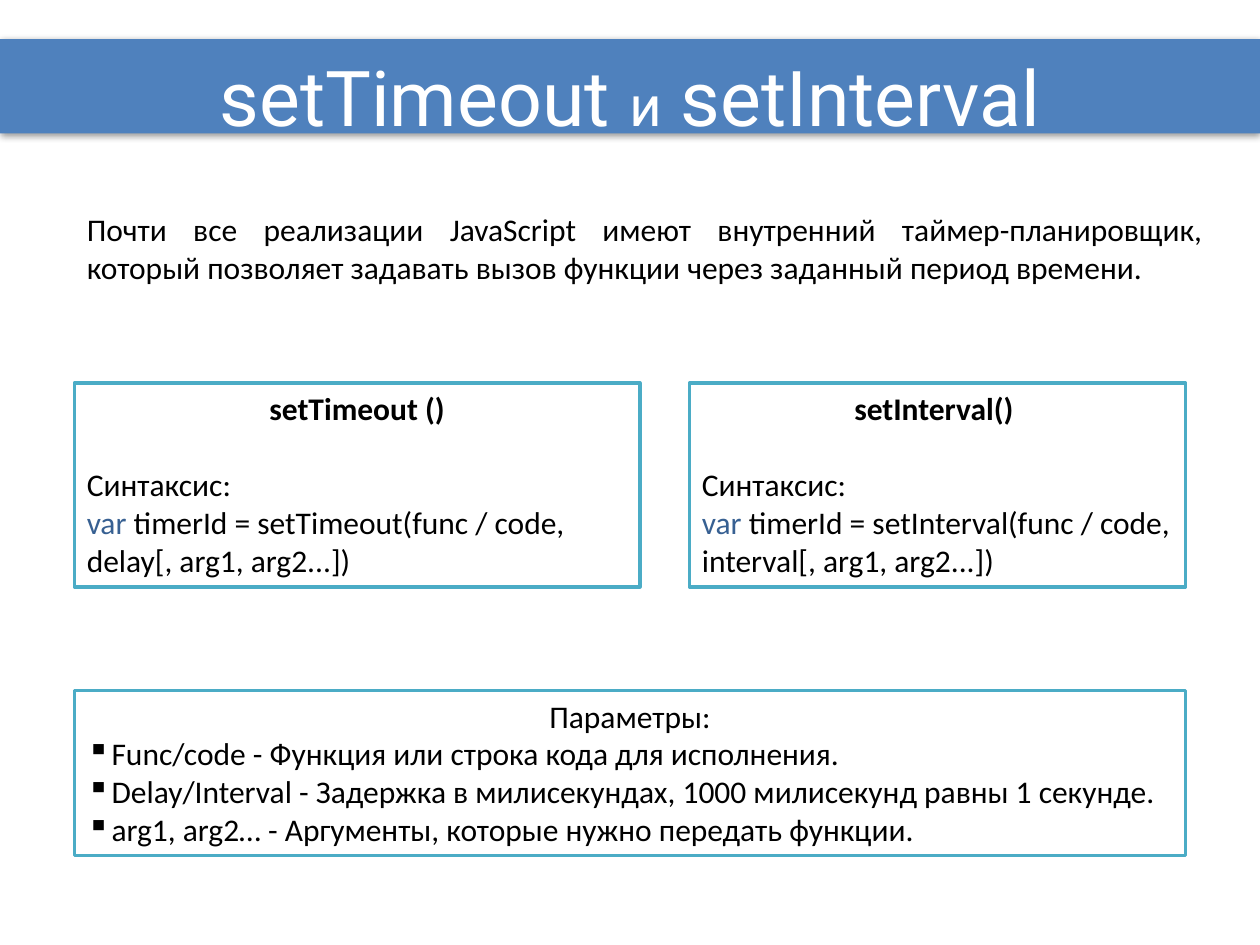
from lxml.etree import SubElement as Sub
from pptx import Presentation
from pptx.dml.color import RGBColor
from pptx.enum.shapes import MSO_SHAPE as Form
from pptx.enum.text import MSO_ANCHOR as Anchor, MSO_AUTO_SIZE as Auto, PP_ALIGN as Align
from pptx.oxml.ns import qn
from pptx.util import Cm, Pt


def tint(code):
    return RGBColor.from_string(code)


class Deck:
    """Holds the style and the current slide, and draws each kind of element."""

    font = {"name": "Calibri", "size": Pt(18), "bold": False}
    head = {"name": "Roboto", "size": Pt(44)}
    ink, white, blue, teal, key = "000000", "FFFFFF", "4F81BD", "4BACC6", "376092"

    def __init__(self):
        self.prs = Presentation()
        self.prs.slide_width, self.prs.slide_height = Cm(25.4), Cm(19.05)
        self.slide = self.prs.slides.add_slide(self.prs.slide_layouts[5])
        self.shapes = self.slide.shapes

    def set(self, item, **vals):
        for name, val in vals.items():
            setattr(item, name, val)

    def run(self, par, text, color, **vals):
        run = par.add_run()
        run.text = text
        self.set(run.font, **vals)
        run.font.color.rgb = tint(color)

    def rect(self, left, top, width, height, fill):
        box = self.shapes.add_shape(
            Form.RECTANGLE, Cm(left), Cm(top), Cm(width), Cm(height))
        box.shadow.inherit = False
        box.fill.solid()
        box.fill.fore_color.rgb = tint(fill)
        box.line.fill.background()
        return box

    def band(self, top, height):
        bar = self.rect(0, top, 25.4, height, self.blue)
        glow = Sub(bar.element.spPr.find(qn("a:effectLst")), qn("a:outerShdw"),
                   blurRad=str(Pt(4)), dist=str(Pt(1)), dir="5400000", rotWithShape="0")
        shade = Sub(glow, qn("a:srgbClr"), val=self.ink)
        Sub(shade, qn("a:alpha"), val="40000")
        self.shapes.title.element.addprevious(bar.element)

    def title(self, parts):
        title = self.shapes.title
        self.set(title, left=Cm(1.27), top=Cm(0.53), width=Cm(22.86), height=Cm(2.79))
        self.set(title.text_frame, vertical_anchor=Anchor.MIDDLE, auto_size=Auto.NONE)
        par = title.text_frame.paragraphs[0]
        par.alignment = Align.CENTER
        for text, size in parts:
            self.run(par, text, self.white, **{**self.head, "size": Pt(size)})

    def fill(self, shape, rows):
        frame = shape.text_frame
        self.set(frame, word_wrap=True, vertical_anchor=Anchor.TOP)
        for num, (parts, look) in enumerate(rows):
            par = frame.add_paragraph() if num else frame.paragraphs[0]
            self.set(par, **{"alignment": Align.LEFT, **look})
            for text, color, bold in parts:
                self.run(par, text, color, **{**self.font, "bold": bold})

    def text(self, left, top, width, height, words):
        box = self.shapes.add_textbox(Cm(left), Cm(top), Cm(width), Cm(height))
        self.fill(box, [([(words, self.ink, False)], {"alignment": Align.JUSTIFY})])

    def panel(self, left, top, width, height, rows):
        box = self.rect(left, top, width, height, self.white)
        box.line.color.rgb = tint(self.teal)
        box.line.width = Pt(2)
        self.fill(box, rows)
        return box

    def call(self, left, width, name, code):
        self.panel(left, 7.72, width, 4.11, [
            ([(name, self.ink, True)], {"alignment": Align.CENTER, "space_after": Pt(22)}),
            ([("Синтаксис:", self.ink, False)], {}),
            ([("var ", self.key, False), (code, self.ink, False)], {})])

    def list(self, left, top, width, height, head, items):
        rows = [([(head, self.ink, False)], {"alignment": Align.CENTER})]
        rows += [([(item, self.ink, False)], {}) for item in items]
        box = self.panel(left, top, width, height, rows)
        for par in box.text_frame.paragraphs[1:]:
            prop = par._p.get_or_add_pPr()
            prop.set("marL", str(Cm(0.5)))
            prop.set("indent", str(Cm(-0.5)))
            Sub(prop, qn("a:buChar"), char="▪")


def main():
    deck = Deck()
    deck.band(0.79, 1.9)
    deck.title([("setTimeout ", 44), ("и", 32), (" setInterval", 44)])
    deck.text(1.5, 4.11, 23, 1.8,
              "Почти все реализации JavaScript имеют внутренний таймер-планировщик, "
              "который позволяет задавать вызов функции через заданный период времени.")
    deck.call(1.5, 11.4, "setTimeout ()",
              "timerId = setTimeout(func / code, delay[, arg1, arg2...])")
    deck.list(1.5, 13.92, 22.4, 3.33, "Параметры:", [
        "Func/code - Функция или строка кода для исполнения.",
        "Delay/Interval - Задержка в милисекундах, 1000 милисекунд равны 1 секунде.",
        "arg1, arg2… - Аргументы, которые нужно передать функции."])
    deck.call(13.9, 10, "setInterval() ",
              "timerId = setInterval(func / code, interval[, arg1, arg2...])")
    deck.prs.save("out.pptx")


if __name__ == "__main__":
    main()
